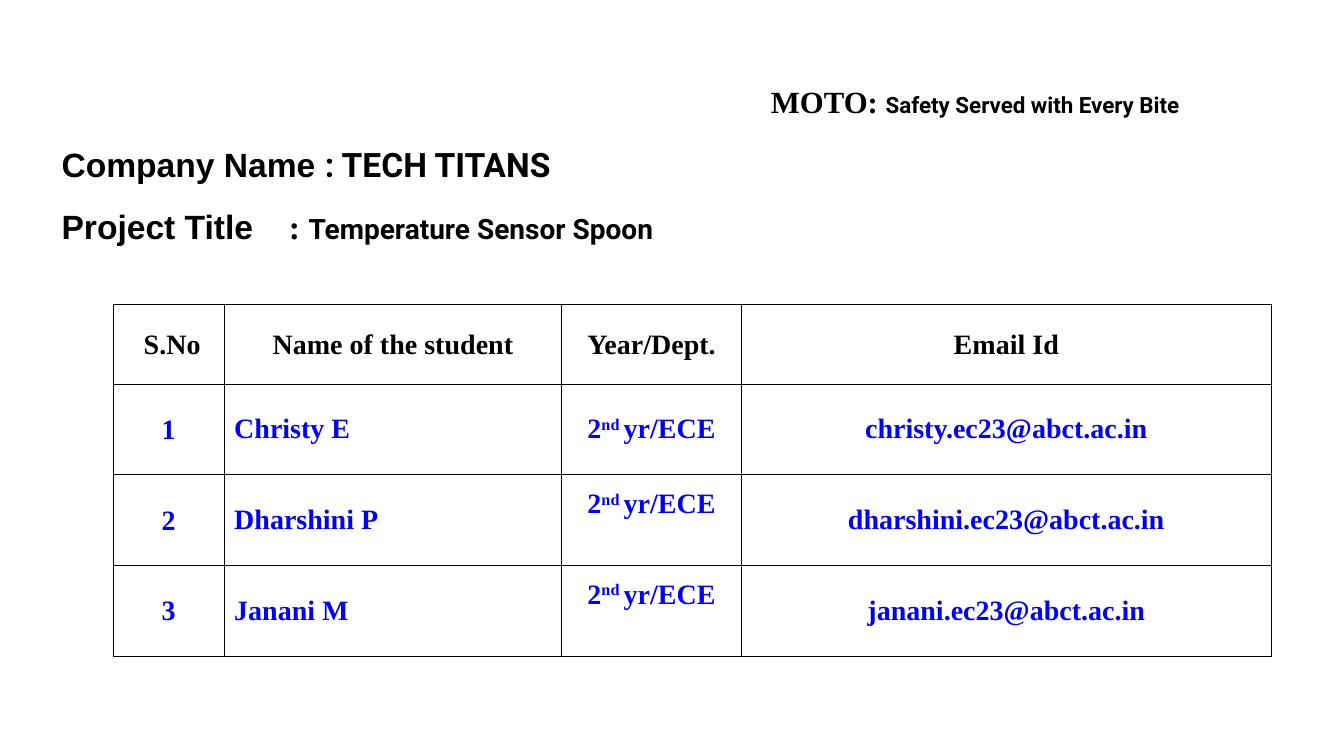
from lxml import etree
from pptx import Presentation
from pptx.dml.color import RGBColor
from pptx.enum import text as t
from pptx.oxml import ns
from pptx.util import Pt

BLACK = RGBColor(0, 0, 0)
BLUE = RGBColor(0, 0, 255)
SERIF, SANS, ROBOTO = "Times New Roman", "Arial", "Roboto"

HEADS = [" S.No", "Name of the student", "Year/Dept.", "Email Id"]
TEAM = [
    ("Christy E", "christy.ec23@abct.ac.in"),
    ("Dharshini P", "dharshini.ec23@abct.ac.in"),
    ("Janani M", "janani.ec23@abct.ac.in"),
]
YEAR = ["2", "nd ", "yr/ECE"]
WIDTHS = [79.2, 241.2, 128.2, 378.7]
HEIGHTS = [56.9, 64.8, 64.8, 64.8]


def style(font, name, size, color=BLACK):
    font.name, font.size, font.bold = name, Pt(size), True
    font.color.rgb = color


def add_line(slide, left, top, width, height, runs):
    """Add a one-line text box from (words, font, size) runs."""
    box = slide.shapes.add_textbox(Pt(left), Pt(top), Pt(width), Pt(height))
    box.text_frame.word_wrap = True
    para = box.text_frame.paragraphs[0]
    for words, name, size in runs:
        run = para.add_run()
        run.text = words
        style(run.font, name, size)
    return para


def add_tab(para, pos):
    tabs = etree.SubElement(para._p.get_or_add_pPr(), ns.qn("a:tabLst"))
    etree.SubElement(tabs, ns.qn("a:tab"), pos=str(Pt(pos)), algn="l")


def set_edges(cell):
    """Draw a thin black line on all four sides."""
    props = cell._tc.get_or_add_tcPr()
    for spot, side in enumerate(("lnL", "lnR", "lnT", "lnB")):
        line = etree.Element(ns.qn("a:" + side), w=str(Pt(0.75)))
        fill = etree.SubElement(line, ns.qn("a:solidFill"))
        etree.SubElement(fill, ns.qn("a:srgbClr"), val=str(BLACK))
        props.insert(spot, line)


def fill_cell(cell, parts, color, align, pads):
    """Write the parts into a cell; the second part is raised."""
    para = cell.text_frame.paragraphs[0]
    para.alignment = align
    for spot, words in enumerate(parts):
        run = para.add_run()
        run.text = words
        style(run.font, SERIF, 20, color)
        if spot == 1:
            run.font._element.set("baseline", "30000")
    cell.vertical_anchor = t.MSO_ANCHOR.MIDDLE
    side, top, base = pads
    cell.margin_left = cell.margin_right = Pt(side)
    cell.margin_top, cell.margin_bottom = Pt(top), Pt(base)
    cell.fill.background()
    set_edges(cell)


def add_team(slide):
    rows = [[[head] for head in HEADS]]
    for num, (name, mail) in enumerate(TEAM, 1):
        rows.append([[str(num)], [name], YEAR, [mail]])
    frame = slide.shapes.add_table(len(rows), len(HEADS), Pt(80.9), Pt(217.4),
                                   Pt(sum(WIDTHS)), Pt(sum(HEIGHTS)))
    table = frame.table
    table.first_row = table.horz_banding = False
    for col, width in zip(table.columns, WIDTHS):
        col.width = Pt(width)
    for row, height in zip(table.rows, HEIGHTS):
        row.height = Pt(height)
    for i, row in enumerate(rows):
        for j, parts in enumerate(row):
            left = i > 0 and j == 1
            tight = i == 0 or j == 0
            pads = (0.7, 0.7, 0) if tight else (7.2, 3.6, 3.6)
            if i > 1 and j == 2:
                pads = (7.2, 3.6, 26.6)
            fill_cell(table.cell(i, j), parts, BLUE if i else BLACK,
                      t.PP_ALIGN.LEFT if left else t.PP_ALIGN.CENTER, pads)


def main():
    deck = Presentation()
    deck.slide_width, deck.slide_height = Pt(960), Pt(540)
    slide = deck.slides.add_slide(deck.slide_layouts[6])
    add_team(slide)
    add_line(slide, 36.9, 99.4, 442, 36,
             [("Company Name ", SANS, 24), (": TECH TITANS", ROBOTO, 24)])
    add_line(slide, 543.6, 55.4, 399.6, 33.8,
             [("MOTO: ", SERIF, 22),
              ("Safety Served with Every Bite", ROBOTO, 16)])
    title = add_line(slide, 36.9, 143.3, 757.4, 36,
                     [("Project Title\t", SANS, 24), (": ", SERIF, 24),
                      ("Temperature Sensor Spoon", ROBOTO, 20)])
    add_tab(title, 162.4)
    deck.save("out.pptx")


if __name__ == "__main__":
    main()
